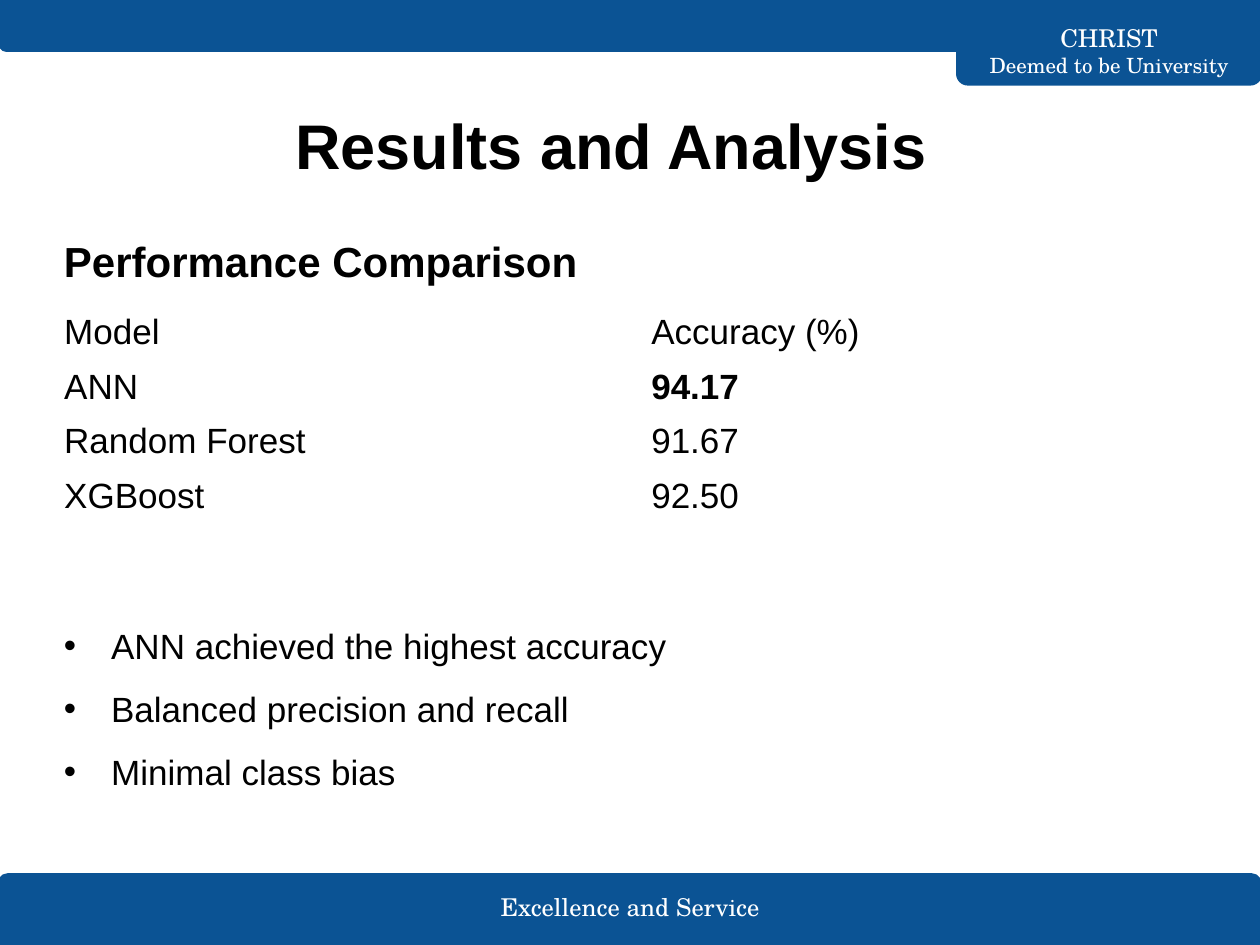
from dataclasses import dataclass

from lxml import etree
from pptx import Presentation
from pptx import util as u
from pptx.dml.color import RGBColor
from pptx.enum import shapes, text
from pptx.oxml import ns

BLUE = RGBColor(0x0B, 0x53, 0x94)
BLACK = RGBColor(0, 0, 0)
WHITE = RGBColor(255, 255, 255)
SANS = "Arial"
SERIF = "TeX Gyre Schola"
LEFT = text.PP_ALIGN.LEFT
MID = text.PP_ALIGN.CENTER
TOP = text.MSO_ANCHOR.TOP
HALF = text.MSO_ANCHOR.MIDDLE


@dataclass(frozen=True)
class Box:
    left: float
    top: float
    width: float
    height: float

    def sides(self) -> tuple:
        return tuple(u.Cm(v) for v in (self.left, self.top, self.width, self.height))


@dataclass(frozen=True)
class Band:
    box: Box
    upper: float
    lower: float


BANDS = (
    Band(Box(-0.02, 17.63, 25.43, 1.42), 0.125, 0),
    Band(Box(19.3, 0, 6.12, 1.7), 0, 0.125),
    Band(Box(0, 0, 25.42, 1.02), 0, 0.125),
)
SCORES = (
    ("Model", "Accuracy (%)"),
    ("ANN", "94.17"),
    ("Random Forest", "91.67"),
    ("XGBoost", "92.50"),
)
POINTS = (
    "ANN achieved the highest accuracy",
    "Balanced precision and recall",
    "Minimal class bias",
)


def add_band(slide, band: Band) -> None:
    kind = shapes.MSO_SHAPE.ROUND_2_SAME_RECTANGLE
    shape = slide.shapes.add_shape(kind, *band.box.sides())
    shape.adjustments[0] = band.upper
    shape.adjustments[1] = band.lower
    shape.shadow.inherit = False
    shape.fill.solid()
    shape.fill.fore_color.rgb = BLUE
    shape.line.color.rgb = BLUE
    shape.line.width = u.Pt(1.5)


def add_mark(para, indent: float) -> None:
    props = para._p.get_or_add_pPr()
    props.set("marL", str(u.Cm(indent)))
    props.set("indent", str(-u.Cm(indent)))
    tint = etree.SubElement(props, ns.qn("a:buClr"))
    etree.SubElement(tint, ns.qn("a:srgbClr"), val=str(BLACK))
    etree.SubElement(props, ns.qn("a:buFont"), typeface=SANS)
    etree.SubElement(props, ns.qn("a:buChar"), char="•")


def write(frame, lines, sizes=(20,), face=SANS, color=BLACK, bold=False,
          align=LEFT, indent=0.0, space=1.0) -> None:
    for i, line in enumerate(lines):
        para = frame.paragraphs[0] if i == 0 else frame.add_paragraph()
        if indent:
            add_mark(para, indent)
        para.alignment = align
        para.line_spacing = space
        para.space_before = u.Pt(0)
        run = para.add_run()
        run.text = line
        font = run.font
        font.name = face
        font.size = u.Pt(sizes[i % len(sizes)])
        font.bold = bold
        font.color.rgb = color


def place(shape, box: Box, anchor=TOP):
    shape.left, shape.top, shape.width, shape.height = box.sides()
    frame = shape.text_frame
    frame.word_wrap = True
    frame.auto_size = text.MSO_AUTO_SIZE.NONE
    frame.vertical_anchor = anchor
    frame.margin_left = frame.margin_right = u.Cm(0.25)
    frame.margin_top = frame.margin_bottom = u.Cm(0.13)
    return frame


def add_box(slide, box: Box, anchor=TOP):
    return place(slide.shapes.add_textbox(*box.sides()), box, anchor)


def add_scores(slide, box: Box) -> None:
    frame = slide.shapes.add_table(len(SCORES), len(SCORES[0]), *box.sides())
    table = frame.table
    table.first_row = False
    table.horz_banding = False
    for r, row in enumerate(SCORES):
        for c, value in enumerate(row):
            cell = table.cell(r, c)
            cell.fill.background()
            cell.vertical_anchor = HALF
            write(cell.text_frame, [value], bold=value == "94.17")


def main() -> None:
    deck = Presentation()
    deck.slide_width = u.Cm(25.4)
    deck.slide_height = u.Cm(19.05)
    slide = deck.slides.add_slide(deck.slide_layouts[1])

    for band in BANDS:
        add_band(slide, band)
    write(add_box(slide, Box(9.29, 17.86, 6.83, 0.82), HALF),
          ["Excellence and Service"], sizes=(14,), face=SERIF, color=WHITE, align=MID)
    write(add_box(slide, Box(19.3, 0.69, 6.12, 0.64), HALF),
          ["CHRIST", "Deemed to be University"],
          sizes=(14, 12), face=SERIF, color=WHITE, align=MID)

    write(place(slide.shapes.title, Box(0.48, 1.35, 23.67, 3.12), HALF),
          ["Results and Analysis"], sizes=(36,), bold=True, align=MID)
    write(add_box(slide, Box(1.04, 4.62, 23.32, 5.33)),
          ["Performance Comparison"], sizes=(24,), bold=True)
    add_scores(slide, Box(1.04, 6.15, 23.67, 4.4))
    write(place(slide.placeholders[1], Box(1.04, 12.04, 21.06, 4.06)),
          POINTS, indent=0.95, space=1.5)
    deck.save("out.pptx")


if __name__ == "__main__":
    main()
